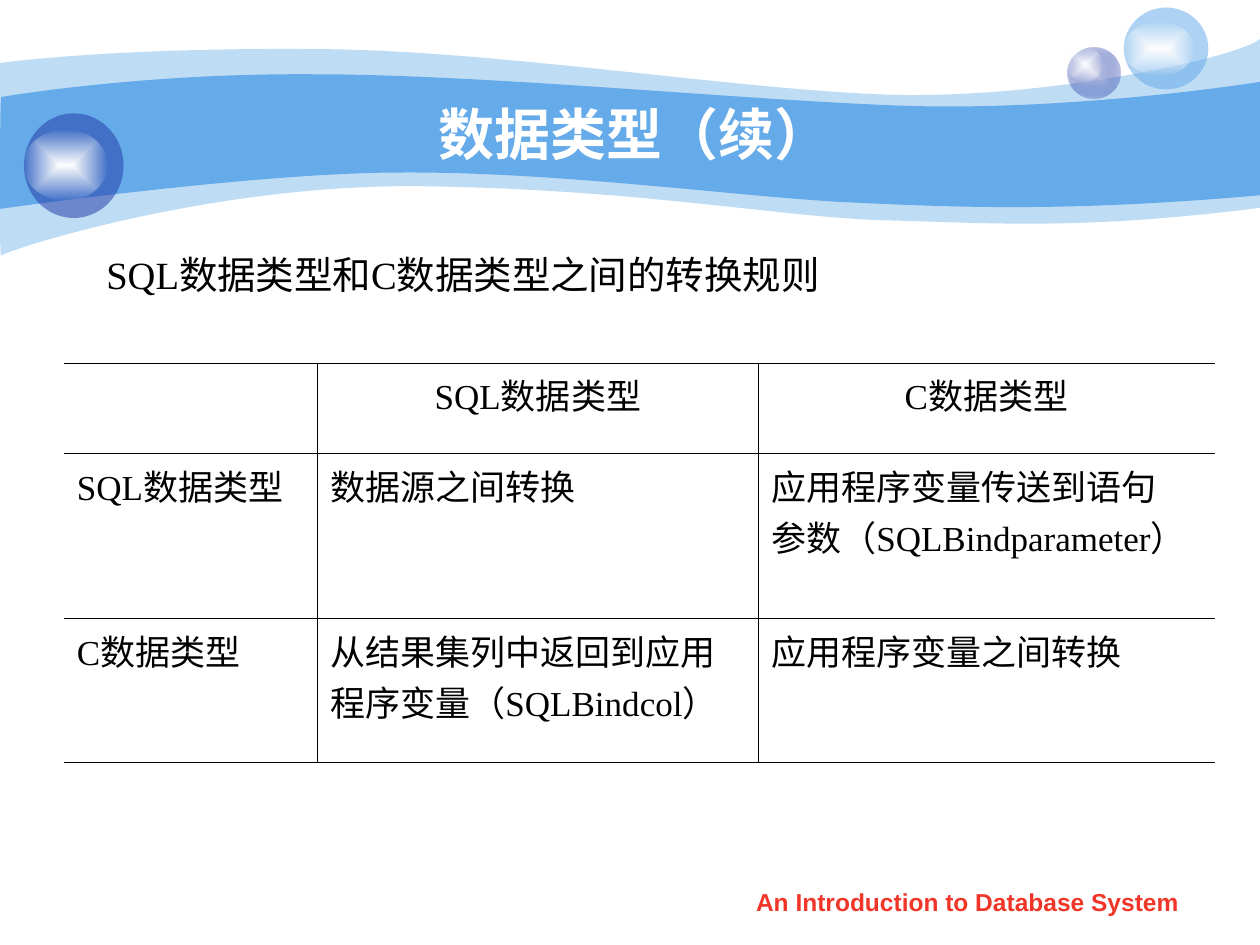
import pptx
import pptx.util
import pptx.oxml.ns
import pptx.dml.color
import pptx.enum.text
import pptx.enum.shapes
import lxml.etree

Inches = pptx.util.Inches
Pt = pptx.util.Pt
qn = pptx.oxml.ns.qn
ALIGN = pptx.enum.text.PP_ALIGN
COLORS = {"sky": "65AAE9", "navy": "233DA9", "pale": "C6CCE8", "white": "FFFFFF",
          "glow": "FEFEFE", "black": "000000", "red": "F03628"}

BACK = [[(0, 0.5)],
        [(0.24, 0.47), (1.07, 0.38), (2.47, 0.39)], [(3.86, 0.39), (5.75, 0.7), (6.99, 0.75)],
        [(8.22, 0.8), (9.8, 0.47), (10, 0.31)], [(10, 1.65)],
        [(8.58, 1.83), (7.87, 1.77), (7.05, 1.75)], [(6.22, 1.73), (5.15, 1.51), (3.43, 1.48)],
        [(1.72, 1.44), (0.04, 1.99), (0.01, 2.03)], [(-0.01, 2.08), (0, 0.75), (0, 0.5)]]
FRONT = [[(0.01, 0.77)],
         [(0.02, 0.77), (1.1, 0.58), (2.48, 0.59)], [(3.86, 0.59), (5.95, 0.8), (7.18, 0.84)],
         [(8.41, 0.88), (9.76, 0.69), (10, 0.65)], [(10, 1.55)],
         [(8.53, 1.68), (7.65, 1.65), (6.82, 1.61)], [(5.99, 1.58), (4.47, 1.36), (3.17, 1.37)],
         [(2.03, 1.37), (-0.02, 1.66), (-0.01, 1.66)], [(0, 1.66), (0, 0.77), (0.01, 0.77)]]
ROWS = [["", "SQL数据类型", "C数据类型"],
        ["SQL数据类型", "数据源之间转换", "应用程序变量传送到语句\n参数（SQLBindparameter）"],
        ["C数据类型", "从结果集列中返回到应用\n程序变量（SQLBindcol）", "应用程序变量之间转换"]]


def node(parent, tag, **attrs):
    """Add a child element with the given attributes."""
    return lxml.etree.SubElement(parent, qn(tag), {key: str(val) for key, val in attrs.items()})


class Deck:
    """Holds the colours and the current slide."""

    def __init__(self, colors):
        self.colors = colors
        self.prs = pptx.Presentation()
        self.prs.slide_width, self.prs.slide_height = Inches(10), Inches(7.5)
        self.slide = self.prs.slides.add_slide(self.prs.slide_layouts[6])

    def rgb(self, name):
        """Look up a colour by name."""
        return pptx.dml.color.RGBColor.from_string(self.colors[name])

    def paint(self, shape, color, alpha=100):
        """Give a shape a plain fill and no line or shadow."""
        shape.shadow.inherit = False
        shape.line.fill.background()
        shape.fill.solid()
        shape.fill.fore_color.rgb = self.rgb(color)
        if alpha < 100:
            tint = shape.fill._xPr.find(qn("a:solidFill"))[0]
            node(tint, "a:alpha", val=alpha * 1000)

    def wave(self, steps, color, alpha=100):
        """Draw a closed band, where a step of three points is a curve."""
        first, *rest = [(Inches(x), Inches(y)) for step in steps for x, y in step]
        form = self.slide.shapes.build_freeform(*first)
        form.add_line_segments(rest)
        shape = form.convert_to_shape()
        lines = iter(list(shape._element.iter(qn("a:lnTo"))))
        for step in steps[1:]:
            group = [next(lines) for _ in step]
            if len(group) == 3:
                curve = lxml.etree.Element(qn("a:cubicBezTo"))
                group[0].addprevious(curve)
                for line in group:
                    curve.append(line[0])
                    line.getparent().remove(line)
        self.paint(shape, color, alpha)

    def ball(self, box, color, alpha=100, core=None):
        """Draw an ellipse, fading out from its core colour if one is given."""
        kind = pptx.enum.shapes.MSO_SHAPE.OVAL
        shape = self.slide.shapes.add_shape(kind, *map(Inches, box))
        self.paint(shape, color, alpha)
        if core:
            props = shape.fill._xPr
            fade = lxml.etree.Element(qn("a:gradFill"), {"rotWithShape": "1"})
            stops = node(fade, "a:gsLst")
            for pos, name, clear in ((0, core, 100), (100, color, alpha)):
                stop = node(stops, "a:gs", pos=pos * 1000)
                tint = node(stop, "a:srgbClr", val=self.colors[name])
                node(tint, "a:alpha", val=clear * 1000)
            sides = dict.fromkeys("ltrb", 50000)
            node(node(fade, "a:path", path="rect"), "a:fillToRect", **sides)
            props.replace(props.find(qn("a:solidFill")), fade)

    def style(self, para, size, font, color, bold=False, align=ALIGN.CENTER, hang=False):
        """Set the font, alignment and hanging indent of a paragraph."""
        para.alignment = align
        para.font.size, para.font.name, para.font.bold = Pt(size), font, bold
        para.font.color.rgb = self.rgb(color)
        if hang:
            props = para._p.get_or_add_pPr()
            props.set("marL", str(Inches(0.38)))
            props.set("indent", str(-Inches(0.38)))

    def text(self, box, words, *look, wrap=True, **more):
        """Add a text box of one paragraph, centred in height."""
        frame = self.slide.shapes.add_textbox(*map(Inches, box)).text_frame
        frame.word_wrap = wrap
        frame.vertical_anchor = pptx.enum.text.MSO_ANCHOR.MIDDLE
        frame.text = words
        self.style(frame.paragraphs[0], *look, **more)

    def edge(self, cell, side, shown):
        """Draw or hide one border of a cell."""
        line = node(cell._tc.get_or_add_tcPr(), "a:ln" + side, w=Pt(0.45))
        if shown:
            node(node(line, "a:solidFill"), "a:srgbClr", val=self.colors["black"])
        else:
            node(line, "a:noFill")

    def table(self, box, rows, widths, heights):
        """Add a ruled table that is open at its left and right."""
        size = len(rows), len(widths)
        grid = self.slide.shapes.add_table(*size, *map(Inches, box)).table
        grid.first_row = grid.horz_banding = False
        for col, width in zip(grid.columns, widths):
            col.width = Inches(width)
        for row, height in zip(grid.rows, heights):
            row.height = Inches(height)
        for r, row in enumerate(rows):
            for c, words in enumerate(row):
                cell = grid.cell(r, c)
                cell.text = words
                for para in cell.text_frame.paragraphs:
                    self.style(para, 20, "Times New Roman", "black", hang=True,
                               align=ALIGN.LEFT if r else ALIGN.CENTER)
                for side in "LRTB":
                    outer = (side == "L" and c == 0) or (side == "R" and c == len(row) - 1)
                    self.edge(cell, side, not outer)
                cell.fill.background()


def main():
    """Build the slide."""
    deck = Deck(COLORS)
    deck.wave(BACK, "sky", 41)
    deck.wave(FRONT, "sky")
    deck.ball((8.47, 0.38, 0.42, 0.4), "navy", 31, core="pale")
    deck.ball((8.47, 0.38, 0.28, 0.27), "glow", 0, core="white")
    deck.ball((8.92, 0.06, 0.67, 0.65), "sky", 53)
    deck.ball((8.92, 0.17, 0.56, 0.43), "glow", 0, core="white")
    deck.ball((0.19, 0.9, 0.79, 0.83), "navy", 53)
    deck.ball((0.19, 1.03, 0.66, 0.56), "glow", 0, core="white")
    deck.text((1, 0.75, 8.08, 0.62), "数据类型（续）", 32, "Arial", "white", True)
    deck.table((0.51, 2.88, 9.13, 3.17), ROWS, (2.01, 3.5, 3.62), (0.72, 1.31, 1.14))
    deck.text((0.26, 1.94, 6.83, 0.47), "SQL数据类型和C数据类型之间的转换规则",
              22, "Times New Roman", "black", wrap=False, hang=True)
    deck.text((5.71, 6.98, 3.94, 0.35), "An Introduction to Database System",
              14, "Arial", "red", True)
    deck.prs.save("out.pptx")


if __name__ == "__main__":
    main()
